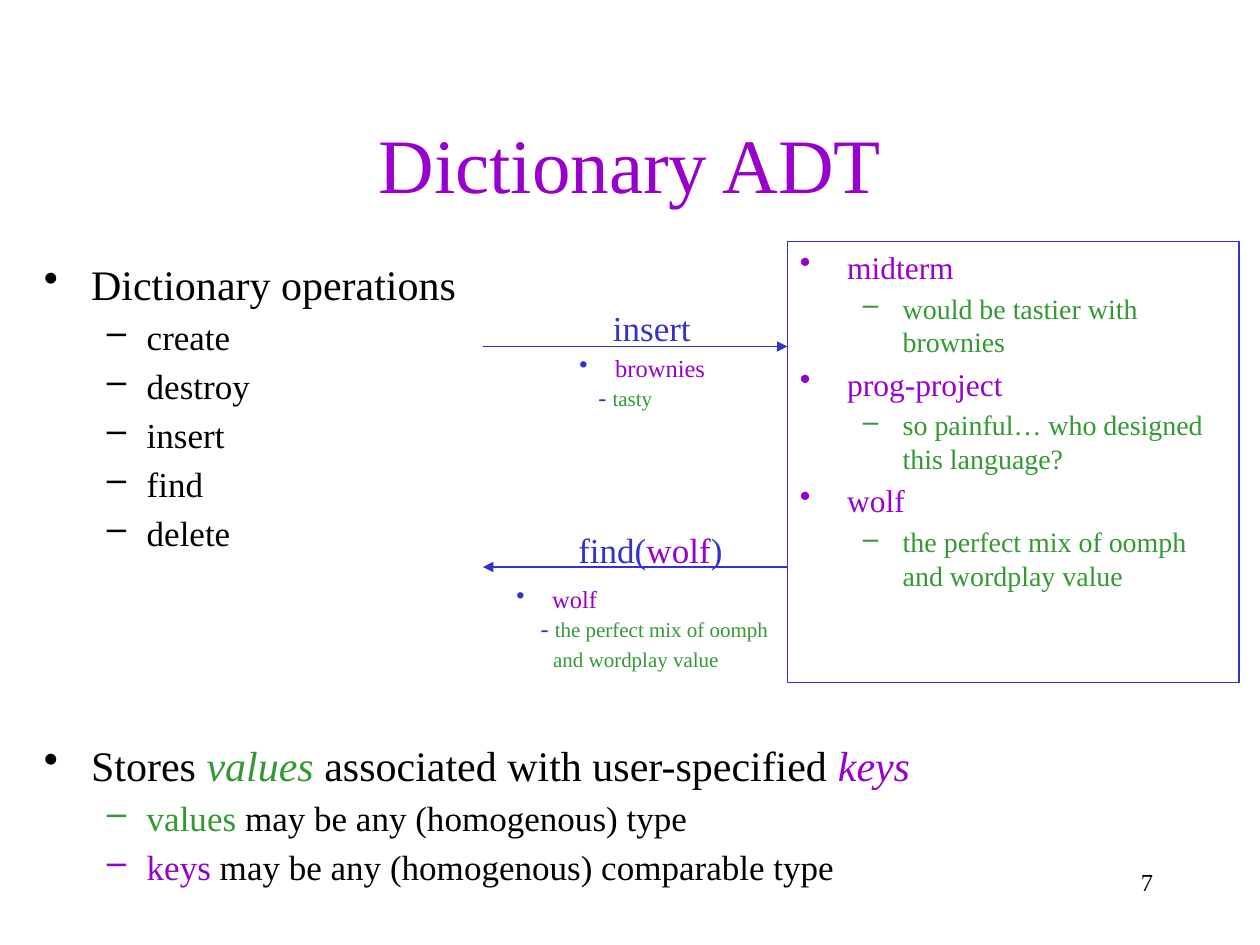
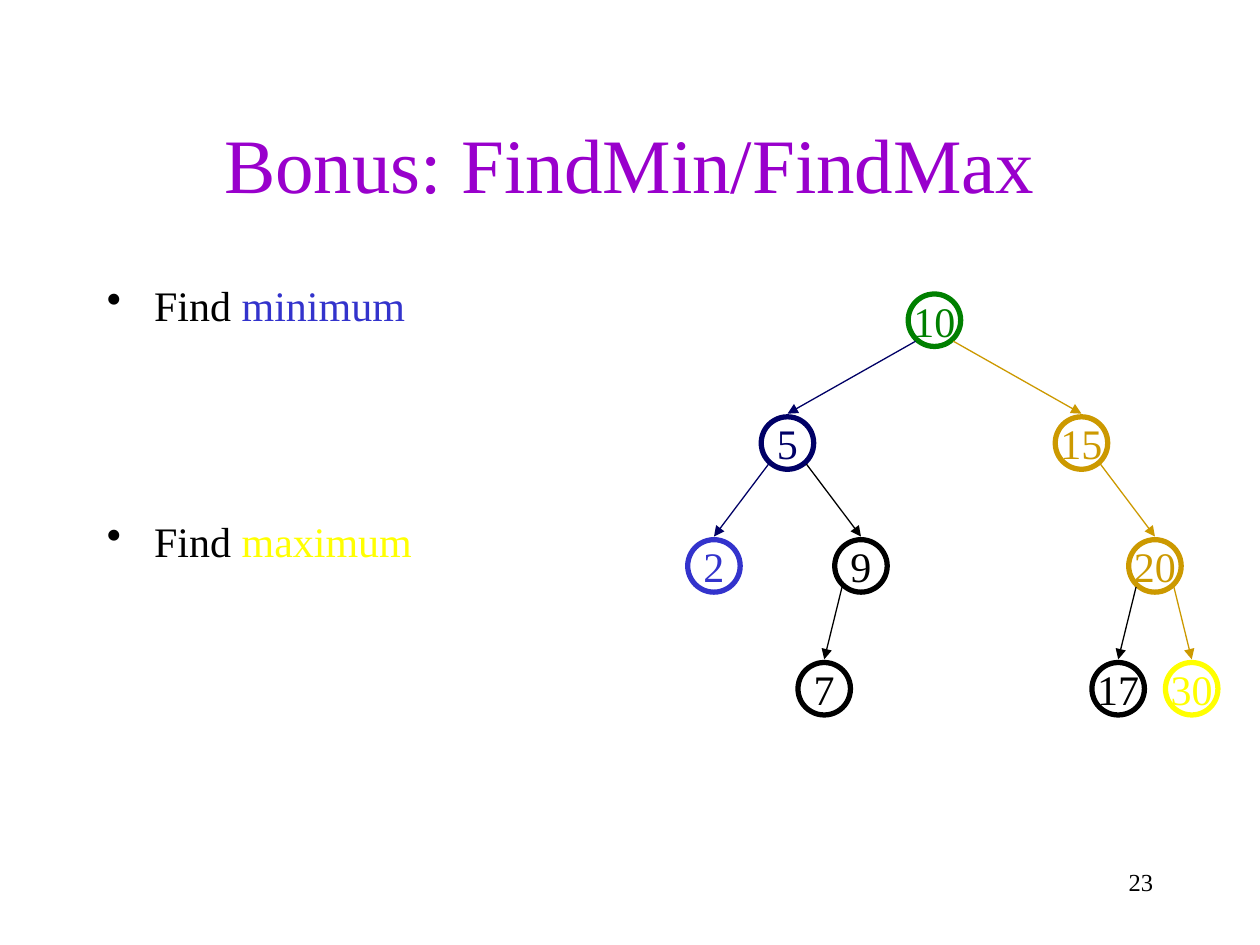
from dataclasses import dataclass
from lxml.etree import SubElement
from pptx import Presentation
from pptx.dml.color import RGBColor
from pptx.enum.shapes import MSO_CONNECTOR as Link, MSO_SHAPE as Form
from pptx.enum.text import MSO_ANCHOR as Anchor, PP_ALIGN as Align
from pptx.oxml.ns import qn
from pptx.util import Emu, Pt

BLACK = RGBColor(0x00, 0x00, 0x00)
PURPLE = RGBColor(0x99, 0x00, 0xCC)
GREEN = RGBColor(0x33, 0x99, 0x33)
BLUE = RGBColor(0x33, 0x33, 0xCC)
NAVY = RGBColor(0x00, 0x00, 0x66)
GOLD = RGBColor(0xCC, 0x99, 0x00)
YELLOW = RGBColor(0xFF, 0xFF, 0x00)
FOREST = RGBColor(0x00, 0x80, 0x00)

FONT = "Times New Roman"
SCALE = 7620
RADIUS = 25
DROP = 117
BREAK = 106


def px(count):
    return Emu(round(count * SCALE))


@dataclass
class Line:
    runs: list
    size: float
    margin: int = 0
    hang: int = 0
    mark: str = ""
    gap: float = 0
    align: Align = Align.LEFT
    tint: RGBColor = None


def plain(text, size, color, align=Align.LEFT):
    return Line([(text, color)], size, align=align)


def topic(*runs, size=24, gap=None):
    return Line(runs, size, 45, 45, "•", size / 5 if gap is None else gap)


def point(*runs, size=20):
    return Line(runs, size, 98, 38, "–", size / 5)


def entry(key):
    return Line([(key, PURPLE)], 14, 34, 34, "•", tint=BLUE)


def note(text, margin):
    return Line([("- ", BLUE, 14), (text, GREEN)], 12, margin)


class Deck:
    def __init__(self):
        self.show = Presentation()
        self.show.slide_width = px(1200)
        self.show.slide_height = px(900)
        self.slide = None

    def page(self, title, number):
        self.slide = self.show.slides.add_slide(self.show.slide_layouts[6])
        self.text(90, 80, 1020, 150, [plain(title, 44, PURPLE, Align.CENTER)],
                  Anchor.MIDDLE)
        self.text(860, 820, 250, 60, [plain(str(number), 14, BLACK, Align.RIGHT)])

    def text(self, left, top, width, height, lines, anchor=Anchor.TOP):
        box = self.slide.shapes.add_textbox(px(left), px(top), px(width), px(height))
        self.fill(box.text_frame, lines, anchor)

    def shape(self, form, left, top, width, height, color, weight, lines,
              anchor=Anchor.TOP, wrap=True):
        item = self.slide.shapes.add_shape(
            form, px(left), px(top), px(width), px(height))
        item.shadow.inherit = False
        item.fill.background()
        item.line.color.rgb = color
        item.line.width = Pt(weight)
        self.fill(item.text_frame, lines, anchor, wrap)

    def fill(self, frame, lines, anchor, wrap=True):
        frame.word_wrap = wrap
        frame.vertical_anchor = anchor
        for index, line in enumerate(lines):
            para = frame.add_paragraph() if index else frame.paragraphs[0]
            para.alignment = line.align
            if index:
                para.space_before = Pt(line.gap)
            self.indent(para, line)
            for text, color, *extra in line.runs:
                run = para.add_run()
                run.text = text
                run.font.name = FONT
                run.font.color.rgb = color
                run.font.size = Pt(line.size)
                for style in extra:
                    if style == "italic":
                        run.font.italic = True
                    else:
                        run.font.size = Pt(style)

    def indent(self, para, line):
        props = para._p.get_or_add_pPr()
        props.set("marL", str(px(line.margin)))
        props.set("indent", str(-px(line.hang)))
        if line.mark:
            tint = SubElement(props, qn("a:buClr"))
            color = line.tint or line.runs[0][1]
            SubElement(tint, qn("a:srgbClr"), val=str(color))
            SubElement(props, qn("a:buChar"), char=line.mark)
        else:
            SubElement(props, qn("a:buNone"))

    def arrow(self, x1, y1, x2, y2, color):
        item = self.slide.shapes.add_connector(
            Link.STRAIGHT, px(x1), px(y1), px(x2), px(y2))
        item.line.color.rgb = color
        item.line.width = Pt(0.75)
        SubElement(item.line._get_or_add_ln(), qn("a:tailEnd"), type="triangle")
        SubElement(item._element.spPr, qn("a:effectLst"))

    def node(self, x, y, key, color):
        self.shape(Form.OVAL, x - RADIUS, y - RADIUS, 2 * RADIUS, 2 * RADIUS,
                   color, 3, [plain(str(key), 24, color, Align.CENTER)],
                   Anchor.MIDDLE, False)

    def tree(self, x, y, root, spread):
        key, color, kids = root
        self.node(x, y, key, color)
        for side, edge, kid in kids:
            low = y + DROP
            end = x + side * spread
            self.arrow(x + side * 18, y + 20, end, low - RADIUS - 3, edge)
            self.tree(end, low, kid, spread / 2)


def store(deck):
    deck.page("Dictionary ADT", 7)
    verbs = ["create", "destroy", "insert", "find", "delete"]
    deck.text(30, 240, 910, 540, [
        topic(("Dictionary operations", BLACK)),
        *[point((verb, BLACK)) for verb in verbs],
        topic(("Stores ", BLACK), ("values", GREEN, "italic"),
              (" associated with user-specified ", BLACK),
              ("keys", PURPLE, "italic"), gap=BREAK),
        point(("values", GREEN), (" may be any (homogenous) type", BLACK)),
        point(("keys", PURPLE),
              (" may be any (homogenous) comparable type", BLACK)),
    ])

    pairs = [
        ("midterm", "would be tastier with brownies"),
        ("prog-project", "so painful… who designed this language?"),
        ("wolf", "the perfect mix of oomph and wordplay value"),
    ]
    lines = []
    for key, value in pairs:
        lines += [topic((key, PURPLE), size=18), point((value, GREEN), size=16)]
    deck.shape(Form.RECTANGLE, 750, 230, 430, 420, BLUE, 1, lines)

    deck.arrow(460, 330, 750, 330, BLUE)
    deck.text(572, 286, 110, 52, [plain("insert", 20, BLUE)])
    deck.text(540, 330, 160, 68, [entry("brownies"), note("tasty", 18)])

    deck.arrow(750, 540, 460, 540, BLUE)
    deck.text(539, 497, 168, 52, [
        Line([("find(", BLUE), ("wolf", PURPLE), (")", BLUE)], 20)])
    deck.text(480, 550, 272, 97, [
        entry("wolf"),
        note("the perfect mix of oomph", 23),
        Line([("and wordplay value", GREEN)], 12, 35, gap=2.3),
    ])


def search(deck):
    deck.page("Bonus: FindMin/FindMax", 23)
    deck.text(90, 260, 500, 540, [
        topic(("Find ", BLACK), ("minimum", BLUE)),
        topic(("Find ", BLACK), ("maximum", YELLOW), gap=BREAK),
    ])
    two = (2, BLUE, [])
    nine = (9, BLACK, [(-1, BLACK, (7, BLACK, []))])
    five = (5, NAVY, [(-1, NAVY, two), (1, BLACK, nine)])
    twenty = (20, GOLD, [(-1, BLACK, (17, BLACK, [])),
                         (1, GOLD, (30, YELLOW, []))])
    teen = (15, GOLD, [(1, GOLD, twenty)])
    root = (10, FOREST, [(-1, NAVY, five), (1, GOLD, teen)])
    deck.tree(890, 305, root, 140)


def main():
    deck = Deck()
    store(deck)
    search(deck)
    deck.show.save("out.pptx")


if __name__ == "__main__":
    main()
